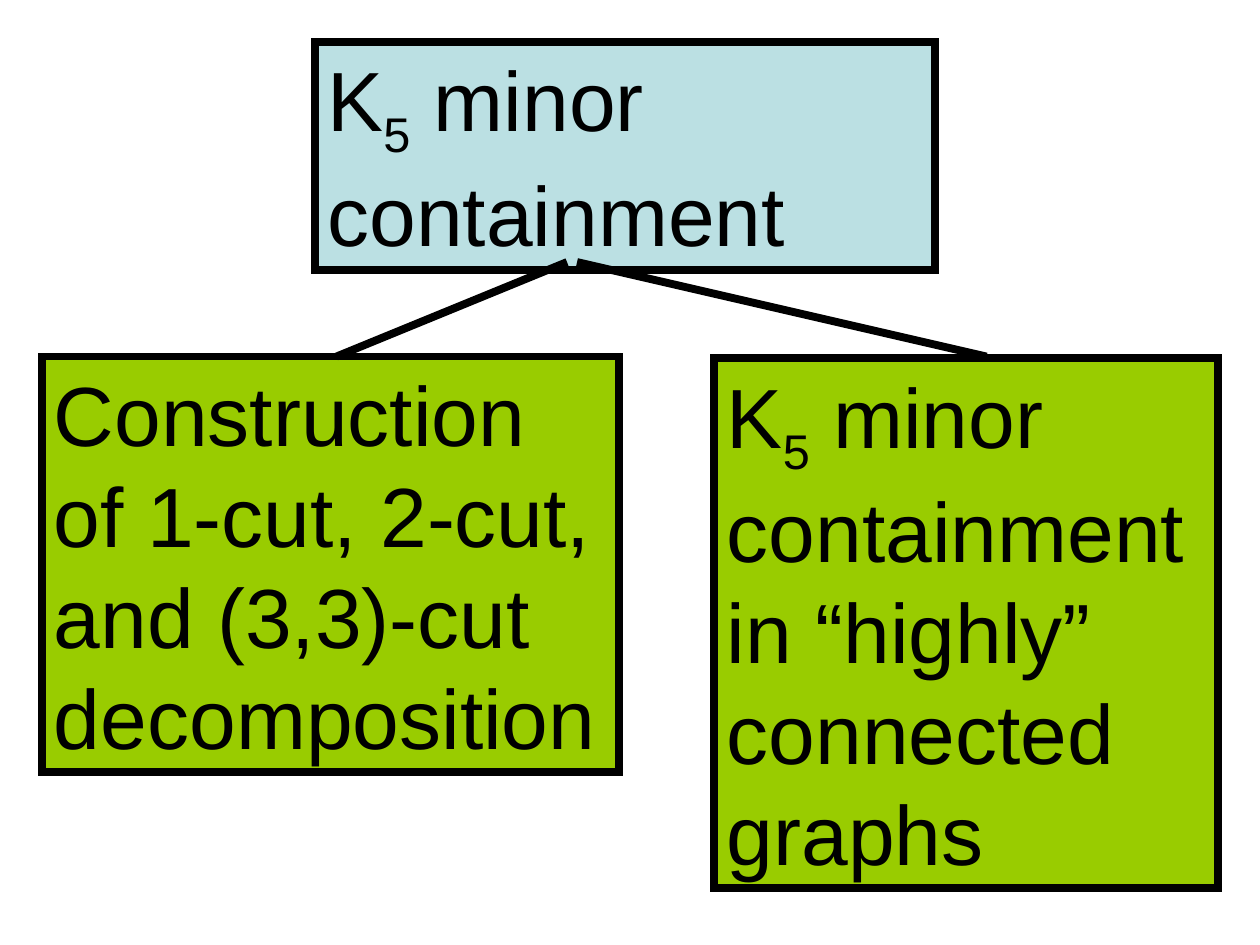
from lxml import etree
from pptx import Presentation
from pptx.dml.color import RGBColor
from pptx.enum.shapes import MSO_CONNECTOR, MSO_SHAPE
from pptx.enum.text import MSO_ANCHOR, PP_ALIGN
from pptx.oxml.ns import qn
from pptx.util import Inches, Pt

RECTANGLE = MSO_SHAPE.RECTANGLE
STRAIGHT = MSO_CONNECTOR.STRAIGHT
TOP, LEFT = MSO_ANCHOR.TOP, PP_ALIGN.LEFT

BLACK = RGBColor(0x00, 0x00, 0x00)
PALE_BLUE = RGBColor(0xBB, 0xE0, 0xE3)
GREEN = RGBColor(0x99, 0xCC, 0x00)
LINE_WIDTH = Pt(4.5)
SUBSCRIPT = "-25000"


def add_problem(slide, box, fill, runs):
    """Draw a framed box; runs are (text, is_subscript) pairs."""
    sp = slide.shapes.add_shape(RECTANGLE, *map(Inches, box))
    sp.shadow.inherit = False
    sp.fill.solid()
    sp.fill.fore_color.rgb = fill
    sp.line.color.rgb = BLACK
    sp.line.width = LINE_WIDTH
    outline = sp._element.spPr.find(qn("a:ln"))
    etree.SubElement(outline, qn("a:miter")).set("lim", "800000")
    tf = sp.text_frame
    tf.word_wrap = True
    tf.vertical_anchor = TOP
    p = tf.paragraphs[0]
    p.alignment = LEFT
    for text, is_subscript in runs:
        r = p.add_run()
        r.text = text
        r.font.name = "Arial"
        r.font.size = Pt(48)
        r.font.color.rgb = BLACK
        if is_subscript:
            r.font._element.set("baseline", SUBSCRIPT)


def add_branch(slide, start, end):
    line = slide.shapes.add_connector(STRAIGHT, *map(Inches, start + end))
    line.line.color.rgb = BLACK
    line.line.width = LINE_WIDTH
    etree.SubElement(line._element.spPr, qn("a:effectLst"))


def add_decomposition_tree(slide):
    k5 = [("K", False), ("5", True)]
    add_problem(slide, (2.5, 0.33, 4.92, 1.81), PALE_BLUE,
                k5 + [(" minor containment", False)])
    add_problem(slide, (0.33, 2.83, 4.58, 3.3), GREEN,
                [("Construction of 1-cut, 2-cut, and (3,3)-cut decomposition", False)])
    add_problem(slide, (5.67, 2.84, 4, 4.21), GREEN,
                k5 + [(" minor containment in “highly” connected graphs", False)])
    add_branch(slide, (4.5, 2.08), (2.67, 2.83))
    add_branch(slide, (4.58, 2.08), (7.83, 2.83))


def main():
    prs = Presentation()
    prs.slide_width, prs.slide_height = Inches(10), Inches(7.5)
    slide = prs.slides.add_slide(prs.slide_layouts[6])
    add_decomposition_tree(slide)
    prs.save("out.pptx")


if __name__ == "__main__":
    main()
